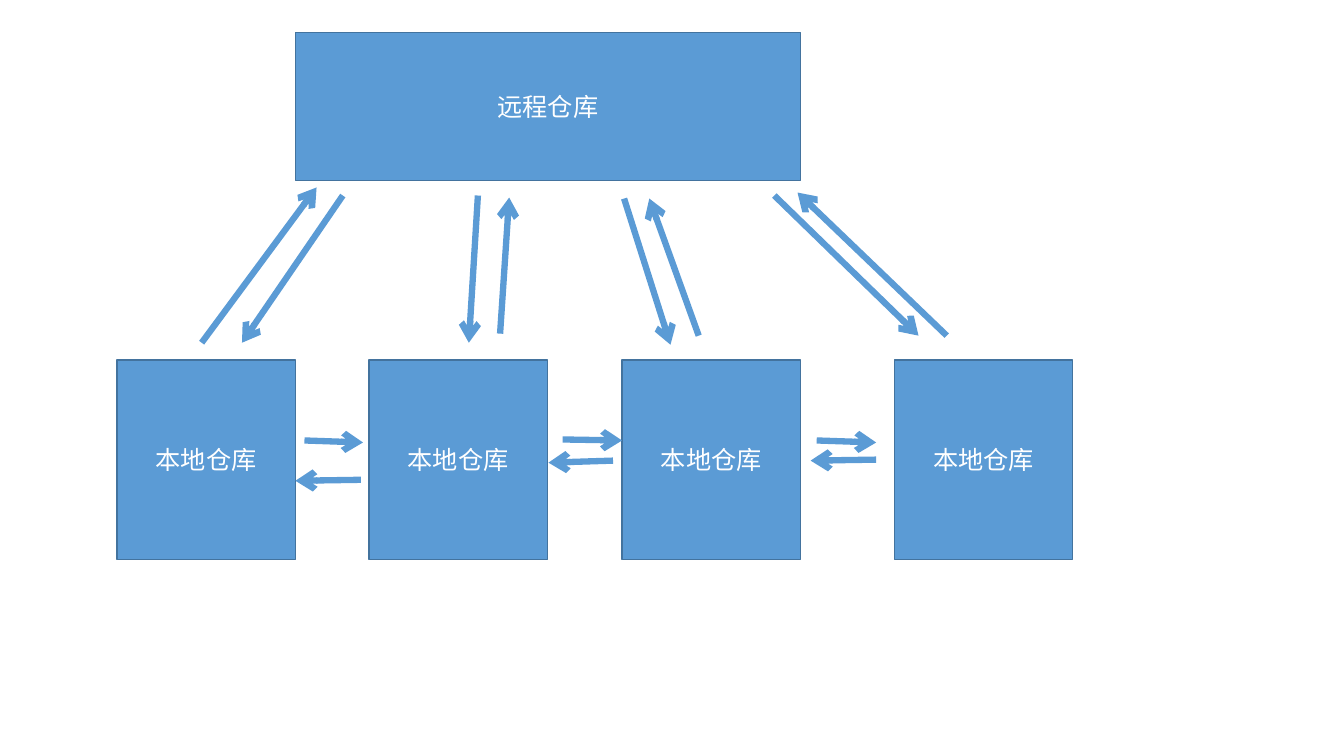
from lxml.etree import SubElement
from pptx import Presentation
from pptx.dml.color import RGBColor
from pptx.enum.shapes import MSO_CONNECTOR, MSO_SHAPE
from pptx.enum.text import MSO_ANCHOR, PP_ALIGN
from pptx.oxml.ns import qn
from pptx.util import Pt

PX = 9144  # 100 px to the inch
BLUE, EDGE, WHITE = "5B9BD5", "43739E", "FFFFFF"


def color(value):
    return RGBColor.from_string(value)


deck = Presentation()
deck.slide_width, deck.slide_height = 1333 * PX, 750 * PX
page = deck.slides.add_slide(deck.slide_layouts[6])

# Repositories: one remote above four local ones
repositories = [("本地仓库", left, 357, 177, 198) for left in (116, 366, 617, 887)]
repositories.append(("远程仓库", 293, 32, 501, 147))

for label, left, top, width, height in repositories:
    box = page.shapes.add_shape(
        MSO_SHAPE.RECTANGLE, left * PX, top * PX, width * PX, height * PX)
    box.shadow.inherit = False
    box.fill.solid()
    box.fill.fore_color.rgb = color(BLUE)
    box.line.color.rgb = color(EDGE)
    box.line.width = Pt(1)
    box.text_frame.word_wrap = True
    box.text_frame.vertical_anchor = MSO_ANCHOR.MIDDLE
    para = box.text_frame.paragraphs[0]
    para.alignment = PP_ALIGN.CENTER
    span = para.add_run()
    span.text = label
    span.font.name = "Calibri"
    span.font.size = Pt(18)
    span.font.color.rgb = color(WHITE)

# Arrows as start x, start y, end x, end y
pulls = [(340, 194, 240, 340), (474, 194, 465, 340),
         (619, 197, 665, 342), (768, 194, 911, 333)]
pushes = [(200, 340, 314, 186), (496, 331, 505, 196),
          (693, 333, 644, 197), (939, 333, 791, 191)]
rightward = [(302, 437, 360, 439), (558, 436, 617, 437), (810, 437, 869, 439)]
leftward = [(358, 476, 293, 477), (608, 457, 544, 459), (869, 456, 804, 457)]

for ends in pulls + pushes + rightward + leftward:
    arrow = page.shapes.add_connector(
        MSO_CONNECTOR.STRAIGHT, *[length * PX for length in ends])
    arrow.line.color.rgb = color(BLUE)
    arrow.line.width = Pt(4.5)
    SubElement(arrow.line._get_or_add_ln(), qn("a:tailEnd"), type="arrow")
    SubElement(arrow._element.spPr, qn("a:effectLst"))

deck.save("out.pptx")
